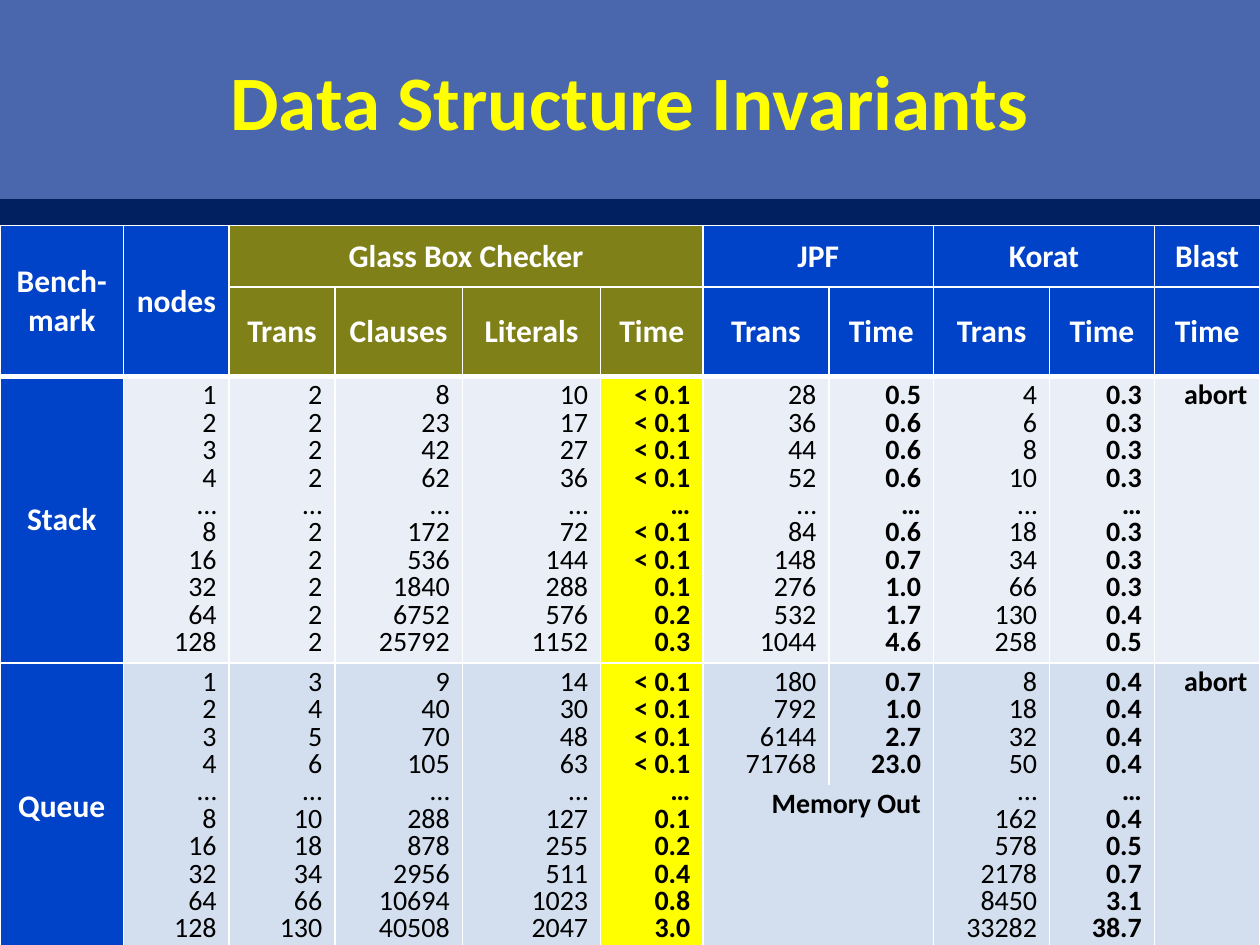
from dataclasses import dataclass

from lxml import etree
from pptx import Presentation
from pptx import util as u
from pptx.dml.color import RGBColor
from pptx.enum import text
from pptx.oxml import ns


@dataclass(frozen=True)
class Theme:
    font: str = "Calibri"
    page: str = "002060"
    band: str = "4A66AC"
    yellow: str = "FFFF00"
    blue: str = "0042C8"
    olive: str = "808019"
    stack: str = "EAEFF7"
    queue: str = "D3DFEE"
    white: str = "FFFFFF"
    black: str = "000000"
    title_size: int = 44
    head_size: int = 18
    body_size: int = 16


THEME = Theme()
COLUMN_WIDTHS = [2.49, 2.13, 2.13, 2.57, 2.79, 2.06, 2.54, 2.11, 2.34, 2.11, 2.13]
ROW_HEIGHTS = [1.24, 1.02, 4.72, 1.96, 3.18]
OWN_COLUMNS = range(2, 6)
OWN_TIME = 5
TIME_COLUMNS = (5, 7, 9, 10)
JPF_COLUMNS = (6, 7)

# First row, first column, last row, last column
MERGES = [(0, 0, 1, 0), (0, 1, 1, 1), (0, 2, 0, 5), (0, 6, 0, 7), (0, 8, 0, 9),
          (4, 6, 4, 7)]
MERGES += [(3, column, 4, column) for column in range(11) if column not in JPF_COLUMNS]

GROUPS = {0: "Bench-mark", 1: "nodes", 2: "Glass Box Checker", 6: "JPF",
          8: "Korat", 10: "Blast"}
MEASURES = ["Trans", "Clauses", "Literals", "Time", "Trans", "Time", "Trans",
            "Time", "Time"]
NODES = "1, 2, 3, 4, …, 8, 16, 32, 64, 128"
STACK = [
    NODES,
    "2, 2, 2, 2, …, 2, 2, 2, 2, 2",
    "8, 23, 42, 62, …, 172, 536, 1840, 6752, 25792",
    "10, 17, 27, 36, …, 72, 144, 288, 576, 1152",
    "< 0.1, < 0.1, < 0.1, < 0.1, …, < 0.1, < 0.1, 0.1, 0.2, 0.3",
    "28, 36, 44, 52, …, 84, 148, 276, 532, 1044",
    "0.5, 0.6, 0.6, 0.6, …, 0.6, 0.7, 1.0, 1.7, 4.6",
    "4, 6, 8, 10, …, 18, 34, 66, 130, 258",
    "0.3, 0.3, 0.3, 0.3, …, 0.3, 0.3, 0.3, 0.4, 0.5",
    "abort",
]
QUEUE = [
    NODES,
    "3, 4, 5, 6, …, 10, 18, 34, 66, 130",
    "9, 40, 70, 105, …, 288, 878, 2956, 10694, 40508",
    "14, 30, 48, 63, …, 127, 255, 511, 1023, 2047",
    "< 0.1, < 0.1, < 0.1, < 0.1, …, 0.1, 0.2, 0.4, 0.8, 3.0",
    "180, 792, 6144, 71768",
    "0.7, 1.0, 2.7, 23.0",
    "8, 18, 32, 50, …, 162, 578, 2178, 8450, 33282",
    "0.4, 0.4, 0.4, 0.4, …, 0.4, 0.5, 0.7, 3.1, 38.7",
    "abort",
]


def paint(fill, color):
    fill.solid()
    fill.fore_color.rgb = RGBColor.from_string(color)


def add_span(para, words, size, color, bold):
    span = para.add_run()
    span.text = words
    span.font.name = THEME.font
    span.font.size = u.Pt(size)
    span.font.bold = bold
    span.font.color.rgb = RGBColor.from_string(color)


def add_title(page, words):
    box = page.shapes.title
    box.left, box.top, box.width, box.height = u.Cm(0), u.Cm(0), u.Cm(25.4), u.Cm(4.01)
    paint(box.fill, THEME.band)
    frame = box.text_frame
    frame.auto_size = text.MSO_AUTO_SIZE.NONE
    frame.vertical_anchor = text.MSO_ANCHOR.MIDDLE
    para = frame.paragraphs[0]
    para.alignment = text.PP_ALIGN.CENTER
    add_span(para, words, THEME.title_size, THEME.yellow, True)


def set_borders(cell, widths):
    """Draw white edges; widths maps L, R, T and B to points, 0 for no line."""
    properties = cell._tc.get_or_add_tcPr()
    for side in "LRTB":
        line = etree.SubElement(properties, ns.qn(f"a:ln{side}"),
                                w=str(u.Pt(widths[side])))
        if widths[side]:
            solid = etree.SubElement(line, ns.qn("a:solidFill"))
            etree.SubElement(solid, ns.qn("a:srgbClr"), val=THEME.white)
        else:
            etree.SubElement(line, ns.qn("a:noFill"))


def border_widths(row, column):
    widths = dict.fromkeys("LRTB", 1)
    if row == 1 or (row == 0 and column < 2):
        widths["B"] = 3
    if row == 2:
        widths["T"] = 3
    if column in JPF_COLUMNS and row in (3, 4):
        widths["B" if row == 3 else "T"] = 0
    return widths


def cell_color(row, column):
    if row < 2:
        return THEME.olive if column in OWN_COLUMNS else THEME.blue
    if column == 0:
        return THEME.blue
    if column == OWN_TIME:
        return THEME.yellow
    return THEME.stack if row == 2 else THEME.queue


def fill_heading(cell, words):
    cell.vertical_anchor = text.MSO_ANCHOR.MIDDLE
    para = cell.text_frame.paragraphs[0]
    para.alignment = text.PP_ALIGN.CENTER
    add_span(para, words, THEME.head_size, THEME.white, True)


def fill_values(cell, values, bold):
    frame = cell.text_frame
    for index, value in enumerate(values.split(", ")):
        para = frame.add_paragraph() if index else frame.paragraphs[0]
        para.alignment = text.PP_ALIGN.RIGHT
        para.line_spacing = 0.8
        add_span(para, value, THEME.body_size, THEME.black, bold)


def add_grid(page):
    """Add the table with its sizes, merges, edges and fills, but no words."""
    frame = page.shapes.add_table(len(ROW_HEIGHTS), len(COLUMN_WIDTHS), u.Cm(0),
                                  u.Cm(4.55), u.Cm(25.4), u.Cm(sum(ROW_HEIGHTS)))
    table = frame.table
    table.first_row = table.horz_banding = False
    for column, width in zip(table.columns, COLUMN_WIDTHS):
        column.width = u.Cm(width)
    for row, height in zip(table.rows, ROW_HEIGHTS):
        row.height = u.Cm(height)
    for top, left, bottom, right in MERGES:
        table.cell(top, left).merge(table.cell(bottom, right))
    for row in range(len(ROW_HEIGHTS)):
        for column in range(len(COLUMN_WIDTHS)):
            cell = table.cell(row, column)
            set_borders(cell, border_widths(row, column))
            paint(cell.fill, cell_color(row, column))
    return table


def add_results(page):
    table = add_grid(page)
    for column, words in GROUPS.items():
        fill_heading(table.cell(0, column), words)
    for column, words in enumerate(MEASURES, start=2):
        fill_heading(table.cell(1, column), words)
    for row, name, results in ((2, "Stack", STACK), (3, "Queue", QUEUE)):
        fill_heading(table.cell(row, 0), name)
        for column, values in enumerate(results, start=1):
            fill_values(table.cell(row, column), values, column in TIME_COLUMNS)
    fill_values(table.cell(4, JPF_COLUMNS[0]), "Memory Out", True)


def main():
    deck = Presentation()
    deck.slide_width, deck.slide_height = u.Cm(25.4), u.Cm(19.05)
    page = deck.slides.add_slide(deck.slide_layouts[5])
    paint(page.background.fill, THEME.page)
    add_title(page, "Data Structure Invariants")
    add_results(page)
    deck.save("out.pptx")


if __name__ == "__main__":
    main()
